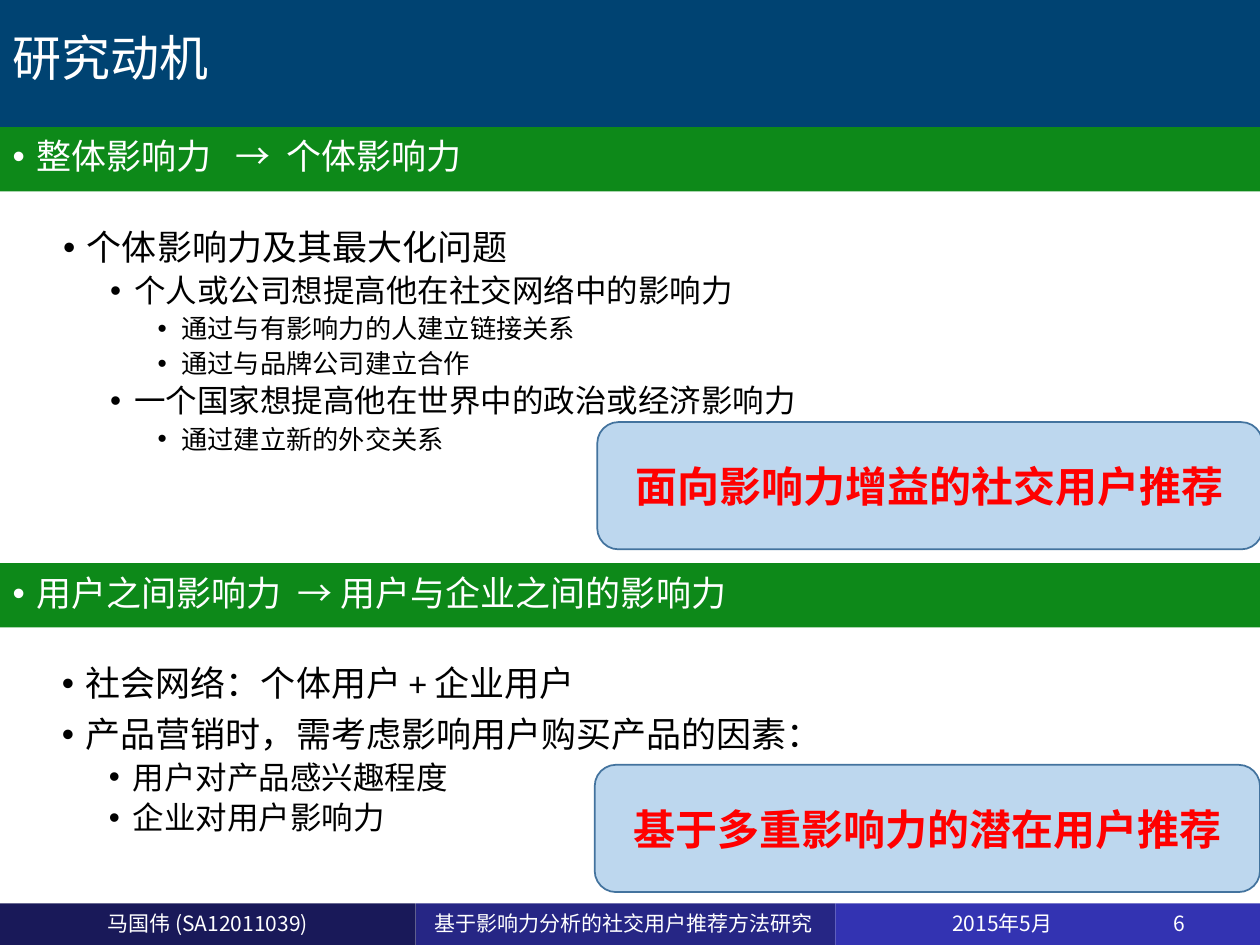
from lxml.etree import SubElement
from pptx import Presentation
from pptx.dml.color import RGBColor
from pptx.enum.shapes import MSO_SHAPE as SHAPE
from pptx.enum.text import MSO_ANCHOR as ANCHOR, MSO_AUTO_SIZE as AUTO, PP_ALIGN as ALIGN
from pptx.oxml.ns import qn
from pptx.util import Inches, Pt

NAVY = RGBColor(0x00, 0x43, 0x72)
GREEN = RGBColor(0x0D, 0x89, 0x19)
FOOT_DARK = RGBColor(0x19, 0x19, 0x59)
FOOT_MID = RGBColor(0x26, 0x26, 0x85)
FOOT_LIGHT = RGBColor(0x33, 0x33, 0xB2)
PALE_BLUE = RGBColor(0xBD, 0xD7, 0xEE)
EDGE_BLUE = RGBColor(0x43, 0x73, 0x9E)
RED = RGBColor(0xFF, 0x00, 0x00)
WHITE = RGBColor(0xFF, 0xFF, 0xFF)
BLACK = RGBColor(0x00, 0x00, 0x00)
CJK = "Noto Sans CJK SC"
LEVEL_SIZES = (20, 18, 15)


def write(sp, lines, size=None, font=CJK, color=WHITE, bold=False,
          align=ALIGN.LEFT, anchor=ANCHOR.MIDDLE, bullets=False, spacing=None):
    """Fill sp with (level, text) lines; without a size, the level sets it."""
    tf = sp.text_frame
    tf.word_wrap, tf.auto_size, tf.vertical_anchor = True, AUTO.NONE, anchor
    for i, (level, text) in enumerate(lines):
        p = tf.add_paragraph() if i else tf.paragraphs[0]
        p.level, p.alignment, p.line_spacing = level, align, spacing
        p.space_before = Pt((3.8 if level else 7.5) if bullets else 0)
        if bullets:
            pPr = p._p.get_or_add_pPr()
            pPr.set("marL", str(Inches(0.19 + 0.375 * level)))
            pPr.set("indent", str(Inches(-0.19)))
            SubElement(pPr, qn("a:buFont"), typeface="Arial")
            SubElement(pPr, qn("a:buChar"), char="•")
        r = p.add_run()
        r.text = text
        r.font.size = Pt(size or LEVEL_SIZES[level])
        r.font.name, r.font.bold, r.font.color.rgb = font, bold, color
        SubElement(r._r.get_or_add_rPr(), qn("a:ea"), typeface=CJK)


def add_box(kind, box, fill, edge=None):
    sp = s.shapes.add_shape(kind, *map(Inches, box))
    sp.shadow.inherit = False
    sp.fill.solid()
    sp.fill.fore_color.rgb = fill
    if edge:
        sp.line.color.rgb, sp.line.width = edge, Pt(1)
    else:
        sp.line.fill.background()
    return sp


prs = Presentation()
prs.slide_width, prs.slide_height = Inches(10), Inches(7.5)
s = prs.slides.add_slide(prs.slide_layouts[4])
title, head_1, body_1, head_2, body_2 = s.placeholders

# Coloured bands lie behind the placeholders
FOOT_Y, FOOT_H = 7.17, 0.33
for box, fill in [
    ((0, 0, 10, 1.5), NAVY),
    ((3.3, FOOT_Y, 3.33, FOOT_H), FOOT_MID),
    ((0, FOOT_Y, 3.3, FOOT_H), FOOT_DARK),
    ((6.63, FOOT_Y, 3.37, FOOT_H), FOOT_LIGHT),
    ((0, 1.01, 10, 0.51), GREEN),
    ((0, 4.47, 10, 0.51), GREEN),
]:
    title._element.addprevious(add_box(SHAPE.RECTANGLE, box, fill)._element)

for sp, box in [
    (title, (0, 0, 10, 0.97)),
    (head_1, (0, 1, 10, 0.51)),
    (body_1, (0.4, 1.78, 9.22, 2.43)),
    (head_2, (0, 4.47, 10, 0.51)),
    (body_2, (0.39, 5.24, 9.22, 1.72)),
]:
    sp.left, sp.top, sp.width, sp.height = map(Inches, box)

write(title, [(0, "研究动机")], size=28, spacing=0.9)
for sp, text in [
    (head_1, "整体影响力   →  个体影响力"),
    (head_2, "用户之间影响力  → 用户与企业之间的影响力"),
]:
    write(sp, [(0, text)], bullets=True, spacing=0.9)

for sp, lines in [
    (body_1, [
        (0, "个体影响力及其最大化问题"),
        (1, "个人或公司想提高他在社交网络中的影响力"),
        (2, "通过与有影响力的人建立链接关系"),
        (2, "通过与品牌公司建立合作"),
        (1, "一个国家想提高他在世界中的政治或经济影响力"),
        (2, "通过建立新的外交关系"),
    ]),
    (body_2, [
        (0, "社会网络：个体用户 + 企业用户"),
        (0, "产品营销时，需考虑影响用户购买产品的因素："),
        (1, "用户对产品感兴趣程度"),
        (1, "企业对用户影响力"),
    ]),
]:
    write(sp, lines, font="Calibri", color=BLACK, anchor=ANCHOR.TOP,
          bullets=True, spacing=0.9)

# Footer texts
for x, w, text, align in [
    (0, 3.3, "马国伟 (SA12011039)", ALIGN.CENTER),
    (3.3, 3.3, "基于影响力分析的社交用户推荐方法研究", ALIGN.CENTER),
    (7.04, 1.83, "2015年5月", ALIGN.CENTER),
    (8.88, 0.53, "6", ALIGN.RIGHT),
]:
    tb = s.shapes.add_textbox(Inches(x), Inches(7.18), Inches(w), Inches(0.3))
    write(tb, [(0, text)], size=12, align=align)
    if align == ALIGN.RIGHT:
        tb.text_frame.margin_right = 0

# Conclusions
for x, y, text in [
    (4.74, 3.35, "面向影响力增益的社交用户推荐"),
    (4.72, 6.07, "基于多重影响力的潜在用户推荐"),
]:
    sp = add_box(SHAPE.ROUNDED_RECTANGLE, (x, y, 5.28, 1.01), PALE_BLUE, EDGE_BLUE)
    write(sp, [(0, text)], size=24, font="Calibri", color=RED, bold=True,
          align=ALIGN.CENTER)

prs.save("out.pptx")
